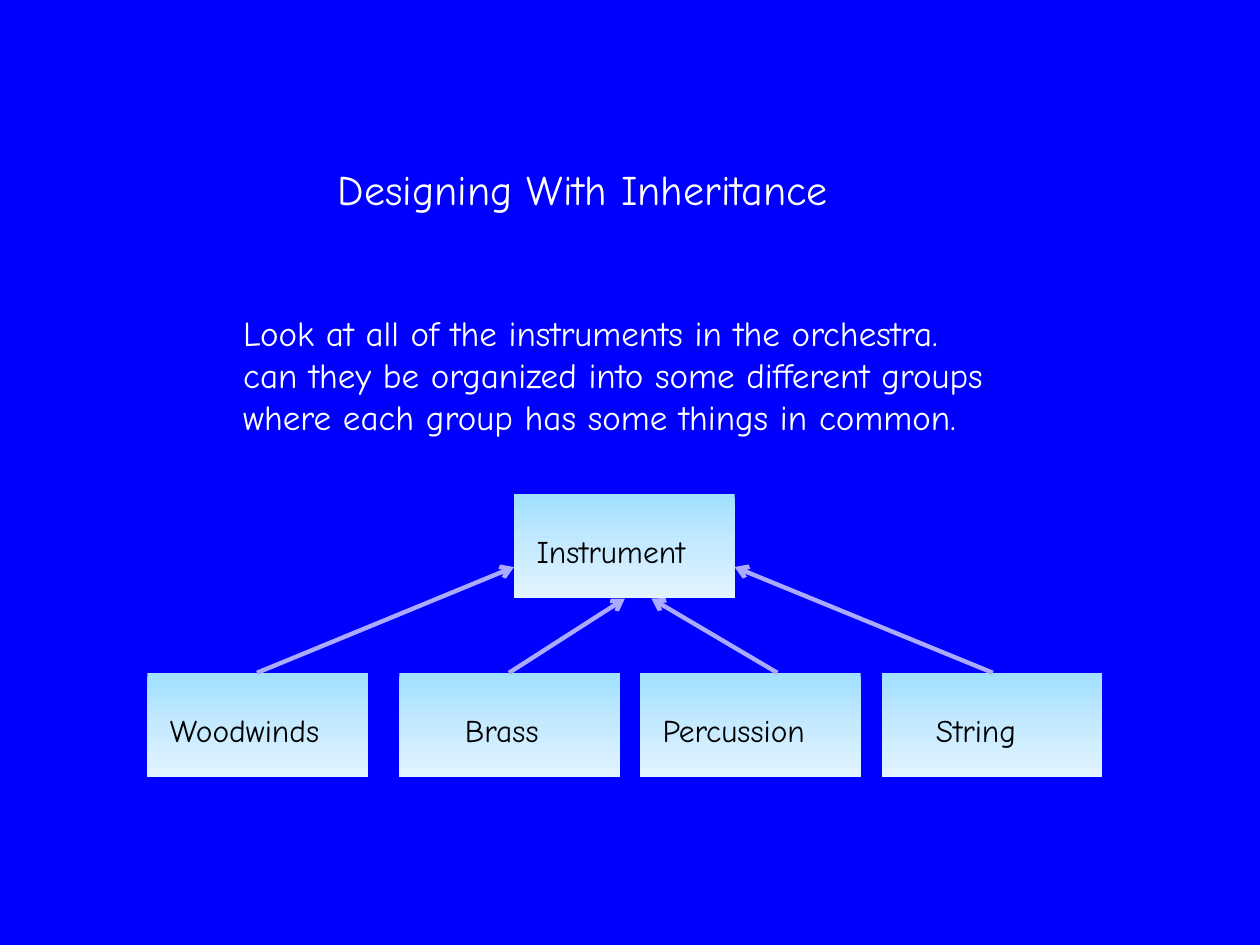
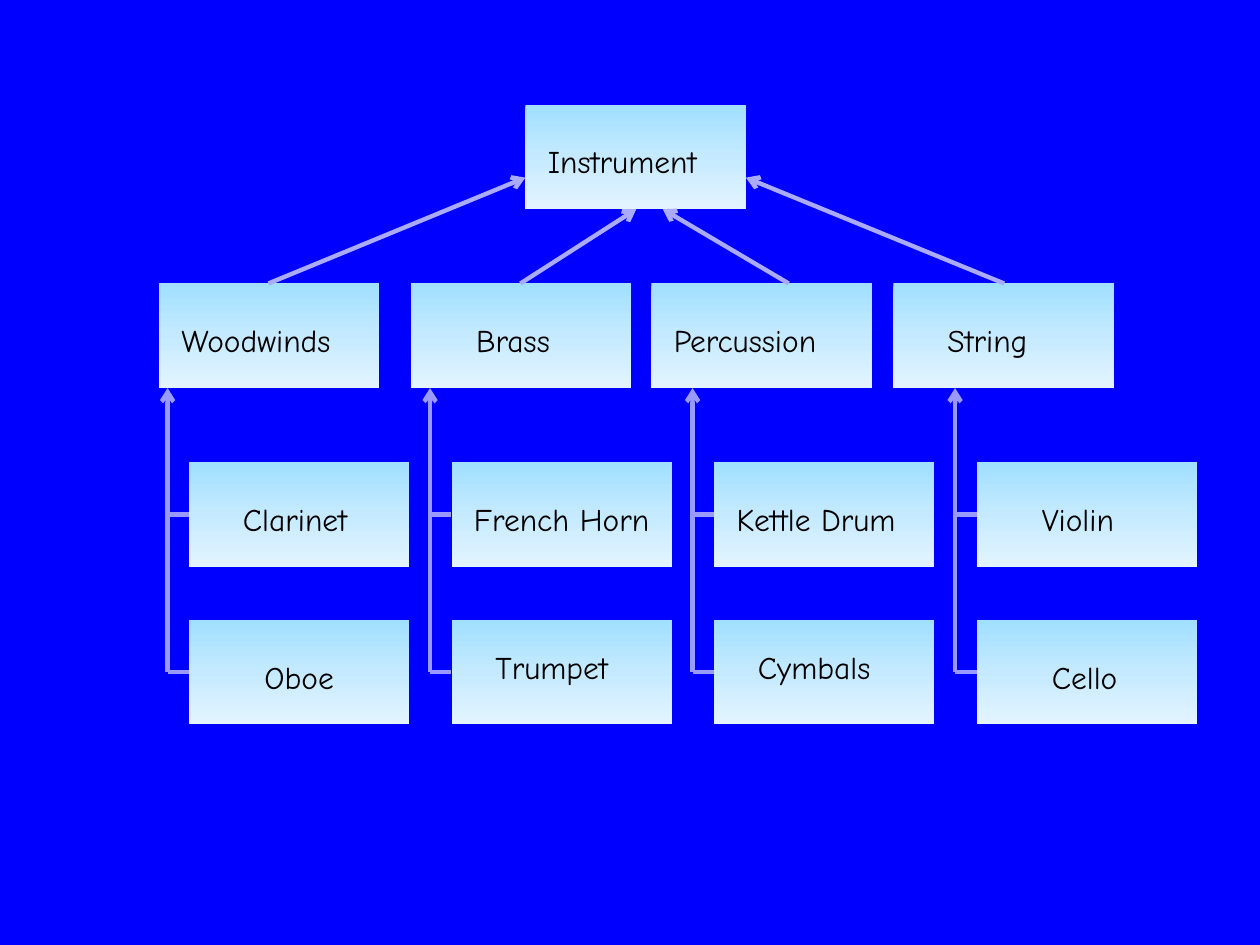
from copy import deepcopy

from lxml import etree
from pptx import Presentation
from pptx.dml.color import RGBColor
from pptx.enum import shapes, text
from pptx.oxml import ns
from pptx.util import Inches, Pt

FONT = "Comic Neue"
BACKGROUND, WHITE, BLACK = "0000FF", "FFFFFF", "000000"
BOX_GRADIENT = ["A0DFFF", "C5EAFF", "E3F4FF"]
FAMILY_LINE, LEAF_LINE = "AAAAFF", "9999FF"
BOX_WIDTH, BOX_HEIGHT = 1.75, 0.83


def rgb(hex_code):
    return RGBColor.from_string(hex_code)


def write(holder, place, lines, size, colour):
    """Place a text holder and fill it with left-aligned lines."""
    holder.left, holder.top, holder.width, holder.height = map(Inches, place)
    frame = holder.text_frame
    frame.word_wrap = True
    frame.auto_size = text.MSO_AUTO_SIZE.NONE
    frame.vertical_anchor = text.MSO_ANCHOR.TOP
    for index, line_text in enumerate(lines):
        para = frame.add_paragraph() if index else frame.paragraphs[0]
        para.alignment = text.PP_ALIGN.LEFT
        para.space_before = Pt(0)
        props = para._p.get_or_add_pPr()
        props.set("marL", "0")
        props.set("indent", "0")
        etree.SubElement(props, ns.qn("a:buNone"))
        span = para.add_run()
        span.text = line_text
        span.font.name = FONT
        span.font.size = Pt(size)
        span.font.color.rgb = rgb(colour)


deck = Presentation()
deck.slide_width, deck.slide_height = Inches(10), Inches(7.5)
master_fill = deck.slide_master.background.fill
master_fill.solid()
master_fill.fore_color.rgb = rgb(BACKGROUND)

# Slide 1: title and question
question_page = deck.slides.add_slide(deck.slide_layouts[1])
write(question_page.shapes.title, (2.58, 1.25, 4.55, 0.5),
      ["Designing With Inheritance"], 24, WHITE)
write(question_page.placeholders[1], (1.83, 2.42, 6.71, 1.11), [
    "Look at all of the instruments in the orchestra.",
    "can they be organized into some different groups",
    "where each group has some things in common.",
], 20, WHITE)

# Slide 2: the full class tree
tree_page = deck.slides.add_slide(deck.slide_layouts[6])

# Families: name, box left, label indent, arrow start within the box,
# arrow tip measured from the Instrument box
families = [
    ("Woodwinds", 1.17, 0.08, 0.87, (0, 0.58)),
    ("Brass", 3.17, 0.42, 0.87, (0.88, BOX_HEIGHT)),
    ("Percussion", 5.08, 0.08, 1.09, (1.09, BOX_HEIGHT)),
    ("String", 7, 0.33, 0.88, (BOX_WIDTH, 0.58)),
]

# Leaves by family: name, label indent, label drop
leaves = [
    [("Clarinet", 0.33, 0.25), ("Oboe", 0.5, 0.25)],
    [("French Horn", 0.08, 0.25), ("Trumpet", 0.25, 0.17)],
    [("Kettle Drum", 0.08, 0.25), ("Cymbals", 0.25, 0.17)],
    [("Violin", 0.42, 0.25), ("Cello", 0.5, 0.25)],
]

for page, root_left, root_top in [(question_page, 4.08, 3.92),
                                  (tree_page, 4.17, 0.83)]:
    # Instrument and its four families
    shift = root_left - 4.08
    family_top = root_top + 1.42
    boxes = [("Instrument", root_left, root_top, 0.08, 0.25)]
    links = []
    for name, left, indent, start, (tip_x, tip_y) in families:
        boxes.append((name, left + shift, family_top, indent, 0.25))
        links.append((left + shift + start, family_top,
                      root_left + tip_x, root_top + tip_y, FAMILY_LINE, True))

    # Two leaves under each family, joined to a trunk
    if page is tree_page:
        for column, pair in enumerate(leaves):
            leaf_left = 1.5 + column * 6.25 / 3
            trunk = leaf_left - 0.17
            links.append((trunk, 5.33, trunk, 3.08, LEAF_LINE, True))
            for row, (name, indent, drop) in enumerate(pair):
                leaf_top = 3.67 + row * 1.25
                middle = leaf_top + BOX_HEIGHT / 2
                boxes.append((name, leaf_left, leaf_top, indent, drop))
                links.append((trunk, middle, leaf_left, middle, LEAF_LINE, False))

    # Draw boxes with their labels
    for name, left, top, indent, drop in boxes:
        box = page.shapes.add_shape(
            shapes.MSO_SHAPE.RECTANGLE, Inches(left), Inches(top),
            Inches(BOX_WIDTH), Inches(BOX_HEIGHT))
        box.shadow.inherit = False
        box.line.fill.background()
        box.fill.gradient()
        box.fill.gradient_angle = 270
        stop_list = box._element.spPr.find(".//" + ns.qn("a:gsLst"))
        stop_list.insert(1, deepcopy(stop_list[0]))
        for index, stop in enumerate(box.fill.gradient_stops):
            stop.position = index / 2
            stop.color.rgb = rgb(BOX_GRADIENT[index])
        label = page.shapes.add_textbox(0, 0, 0, 0)
        write(label, (left + indent, top + drop, BOX_WIDTH - indent + 0.02, 0.4),
              [name], 18, BLACK)

    # Draw links and arrows
    for x1, y1, x2, y2, colour, has_arrow in links:
        link = page.shapes.add_connector(
            shapes.MSO_CONNECTOR.STRAIGHT,
            Inches(x1), Inches(y1), Inches(x2), Inches(y2))
        link.line.color.rgb = rgb(colour)
        link.line.width = Pt(2.5)
        props = link._element.spPr
        if has_arrow:
            outline = props.find(ns.qn("a:ln"))
            etree.SubElement(outline, ns.qn("a:tailEnd"), type="arrow")
        etree.SubElement(props, ns.qn("a:effectLst"))

deck.save("out.pptx")
